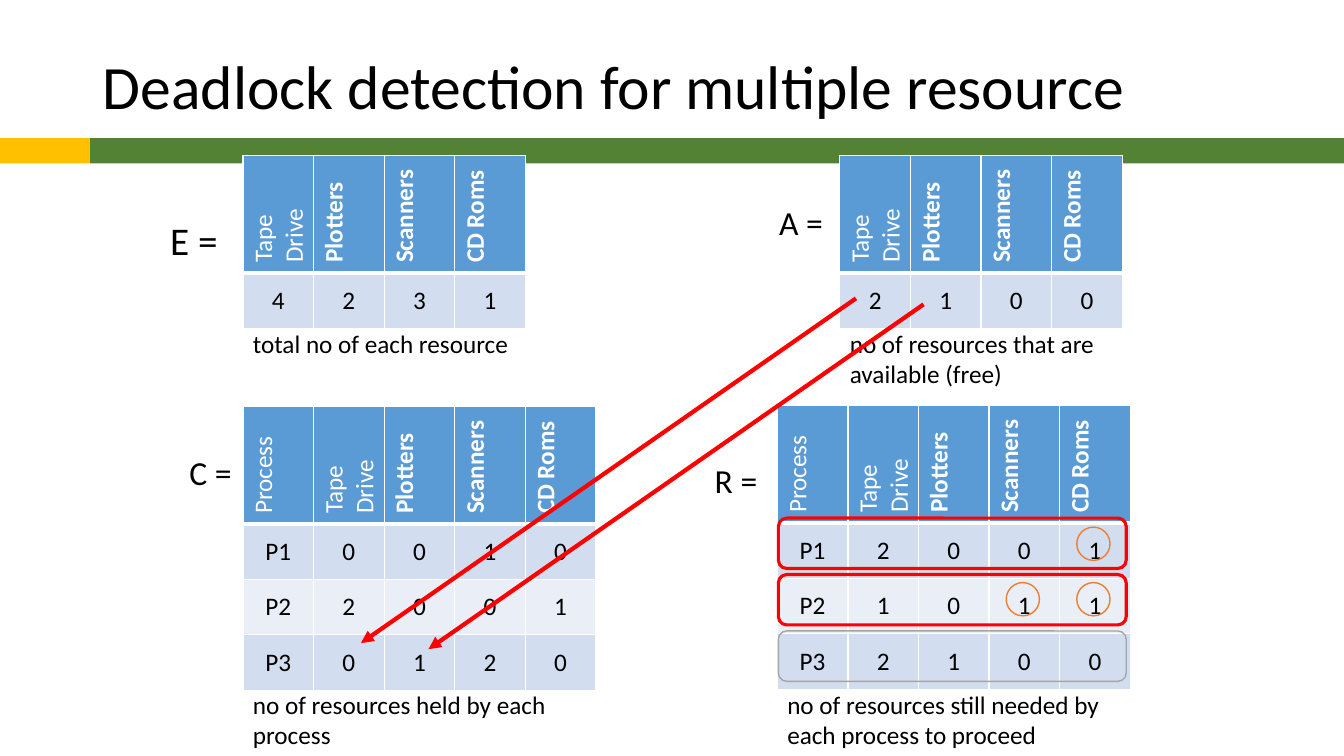
from dataclasses import dataclass
from typing import Any

from lxml.etree import SubElement
from pptx import Presentation
from pptx.dml.color import RGBColor
from pptx.enum.shapes import MSO_CONNECTOR, MSO_SHAPE
from pptx.enum.text import MSO_ANCHOR, MSO_AUTO_SIZE, PP_ALIGN
from pptx.oxml.ns import qn
from pptx.slide import Slide
from pptx.util import Inches, Pt

BLACK = RGBColor(0x00, 0x00, 0x00)
WHITE = RGBColor(0xFF, 0xFF, 0xFF)
GREEN = RGBColor(0x54, 0x82, 0x35)
GOLD = RGBColor(0xFF, 0xC0, 0x00)
HEADER_BLUE = RGBColor(0x5B, 0x9B, 0xD5)
BAND_DARK = RGBColor(0xD2, 0xDE, 0xEF)
BAND_LIGHT = RGBColor(0xEA, 0xEF, 0xF7)
RED = RGBColor(0xFF, 0x00, 0x00)
GRAY = RGBColor(0xA5, 0xA5, 0xA5)
ORANGE = RGBColor(0xED, 0x7D, 0x31)

COL_WIDTH, HEADER_HEIGHT, ROW_HEIGHT = 0.7, 1.1, 0.55
RESOURCES = ["Tape Drive", "Plotters", "Scanners", "CD Roms"]
BOLD_HEADERS = RESOURCES[1:]


@dataclass
class Matrix:
    left: float
    top: float
    header: list[str]
    rows: list[str]


@dataclass
class Label:
    text: str
    left: float
    top: float
    width: float
    height: float
    size: int


@dataclass
class Shape:
    kind: MSO_SHAPE
    left: float
    top: float
    width: float
    height: float
    fill: RGBColor | None = None
    line: RGBColor | None = None
    weight: float = 1


@dataclass
class Arrow:
    start: tuple[float, float]
    end: tuple[float, float]


BARS = [
    Shape(MSO_SHAPE.RECTANGLE, 0.89, 1.37, 12.44, 0.25, fill=GREEN),
    Shape(MSO_SHAPE.RECTANGLE, 0, 1.37, 0.89, 0.25, fill=GOLD),
]
MATRICES = [
    Matrix(2.41, 1.54, RESOURCES, ["4 2 3 1"]),
    Matrix(8.33, 1.54, RESOURCES, ["2 1 0 0"]),
    Matrix(2.41, 4.03, ["Process", *RESOURCES], ["P1 0 0 1 0", "P2 2 0 0 1", "P3 0 1 2 0"]),
    Matrix(7.71, 4.02, ["Process", *RESOURCES], ["P1 2 0 0 1", "P2 1 0 1 1", "P3 2 1 0 0"]),
]
LABELS = [
    Label("E =", 1.59, 2.1, 0.8, 0.57, 28),
    Label("A =", 7.63, 1.95, 0.69, 0.5, 24),
    Label("C =", 1.78, 4.43, 0.69, 0.5, 24),
    Label("R =", 6.99, 4.51, 0.69, 0.5, 24),
    Label("total no of each resource", 2.41, 3.21, 2.75, 0.4, 18),
    Label("no of resources that are available (free)", 8.33, 3.21, 2.75, 0.71, 18),
    Label("no of resources held by each process", 2.41, 6.79, 3.5, 0.71, 18),
    Label("no of resources still needed by each process to proceed", 7.71, 6.79, 3.45, 0.71, 18),
]
ROW_FRAMES = [
    Shape(MSO_SHAPE.ROUNDED_RECTANGLE, 7.72, 5.14 + 0.56 * i, 3.45, 0.5, line=color, weight=weight)
    for i, (color, weight) in enumerate([(RED, 2.25), (RED, 2.25), (GRAY, 1)])
]
UNMET_NEEDS = [
    Shape(MSO_SHAPE.OVAL, 7.88 + COL_WIDTH * col, 5.23 + ROW_HEIGHT * row, 0.33, 0.33, line=ORANGE)
    for row, col in [(0, 4), (1, 3), (1, 4)]
]
ARROWS = [Arrow((8.49, 2.96), (3.58, 6.38)), Arrow((9.16, 3.02), (4.25, 6.44))]


def assign(target: Any, values: dict[str, Any]) -> None:
    """Set each named attribute on the target."""
    for name, value in values.items():
        setattr(target, name, value)


def write(p: Any, text: str, size: int, color: RGBColor = BLACK, bold: bool = False) -> None:
    """Put one formatted run in a paragraph."""
    r = p.add_run()
    r.text = text
    assign(r.font, {"name": "Calibri", "size": Pt(size), "bold": bold})
    r.font.color.rgb = color


def add_label(s: Slide, label: Label) -> None:
    """Draw a wrapped text box."""
    box = map(Inches, (label.left, label.top, label.width, label.height))
    tf = s.shapes.add_textbox(*box).text_frame
    tf.word_wrap = True
    write(tf.paragraphs[0], label.text, label.size)


def add_shape(s: Slide, shape: Shape) -> None:
    """Draw a preset shape with an optional fill and outline."""
    box = map(Inches, (shape.left, shape.top, shape.width, shape.height))
    sp = s.shapes.add_shape(shape.kind, *box)
    sp.shadow.inherit = False
    for fill, color in ((sp.fill, shape.fill), (sp.line.fill, shape.line)):
        if color is None:
            fill.background()
        else:
            fill.solid()
            fill.fore_color.rgb = color
    if shape.line is not None:
        sp.line.width = Pt(shape.weight)


def add_borders(cell: Any, bottom: float) -> None:
    """Give a cell white borders, with its own bottom weight."""
    tc_pr = cell._tc.get_or_add_tcPr()
    for side, weight in (("L", 1), ("R", 1), ("T", 1), ("B", bottom)):
        ln = SubElement(tc_pr, qn(f"a:ln{side}"), w=str(Pt(weight)))
        SubElement(SubElement(ln, qn("a:solidFill")), qn("a:srgbClr"), val=str(WHITE))


def add_matrix(s: Slide, matrix: Matrix) -> None:
    """Draw a table with a rotated header and banded rows."""
    rows = [matrix.header, *(row.split() for row in matrix.rows)]
    heights = [HEADER_HEIGHT] + [ROW_HEIGHT] * len(matrix.rows)
    box = (matrix.left, matrix.top, COL_WIDTH * len(matrix.header), sum(heights))
    table = s.shapes.add_table(len(rows), len(matrix.header), *map(Inches, box)).table
    for column in table.columns:
        column.width = Inches(COL_WIDTH)
    for i, values in enumerate(rows):
        table.rows[i].height = Inches(heights[i])
        for j, value in enumerate(values):
            cell = table.cell(i, j)
            p = cell.text_frame.paragraphs[0]
            cell.vertical_anchor = MSO_ANCHOR.MIDDLE
            add_borders(cell, 1 if i else 3)
            cell.fill.solid()
            if i == 0:
                cell.fill.fore_color.rgb = HEADER_BLUE
                cell._tc.tcPr.set("vert", "vert270")
                write(p, value, 18, WHITE, value in BOLD_HEADERS)
            else:
                cell.fill.fore_color.rgb = BAND_DARK if i % 2 else BAND_LIGHT
                p.alignment = PP_ALIGN.CENTER
                write(p, value, 18)


def add_arrow(s: Slide, arrow: Arrow) -> None:
    """Draw a red line with a triangular head at its end."""
    ends = map(Inches, (*arrow.start, *arrow.end))
    connector = s.shapes.add_connector(MSO_CONNECTOR.STRAIGHT, *ends)
    connector.line.color.rgb = RED
    connector.line.width = Pt(3)
    SubElement(connector.line._get_or_add_ln(), qn("a:tailEnd"), type="triangle")
    SubElement(connector._element.spPr, qn("a:effectLst"))


def add_title(s: Slide, text: str) -> None:
    """Place and format the title placeholder."""
    title = s.shapes.title
    assign(title, {"left": Inches(0.92), "top": Inches(0.4), "width": Inches(11.5), "height": Inches(0.97)})
    tf = title.text_frame
    assign(tf, {"vertical_anchor": MSO_ANCHOR.MIDDLE, "word_wrap": True, "auto_size": MSO_AUTO_SIZE.NONE})
    p = tf.paragraphs[0]
    assign(p, {"alignment": PP_ALIGN.LEFT, "line_spacing": 0.9})
    write(p, text, 44)


def main() -> None:
    """Build the deadlock detection slide and save it."""
    prs = Presentation()
    assign(prs, {"slide_width": Inches(13.33), "slide_height": Inches(7.5)})
    s = prs.slides.add_slide(prs.slide_layouts[5])
    add_title(s, "Deadlock detection for multiple resource")
    for draw, items in (
        (add_shape, BARS),
        (add_matrix, MATRICES),
        (add_label, LABELS),
        (add_shape, ROW_FRAMES + UNMET_NEEDS),
        (add_arrow, ARROWS),
    ):
        for item in items:
            draw(s, item)
    prs.save("out.pptx")


if __name__ == "__main__":
    main()
